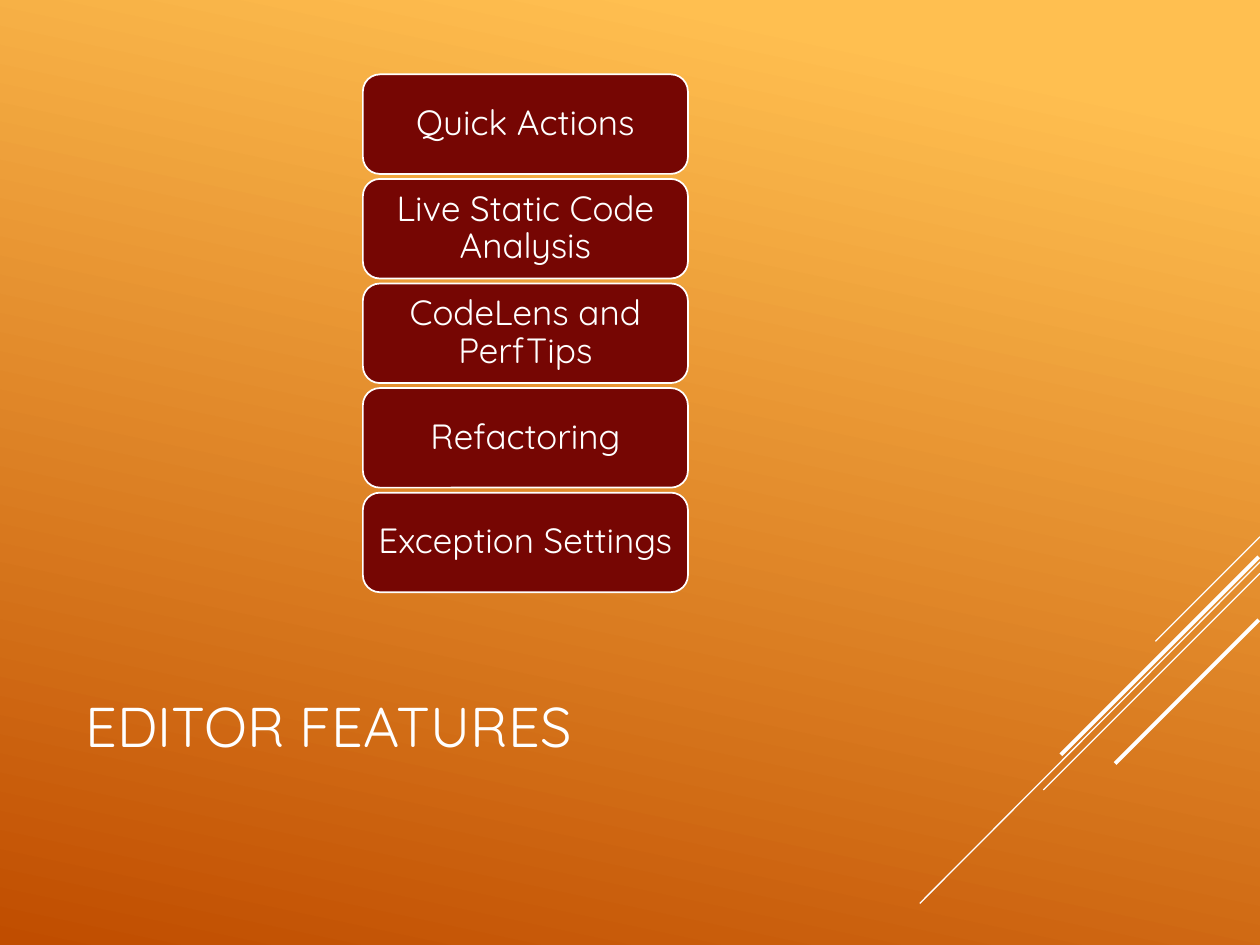
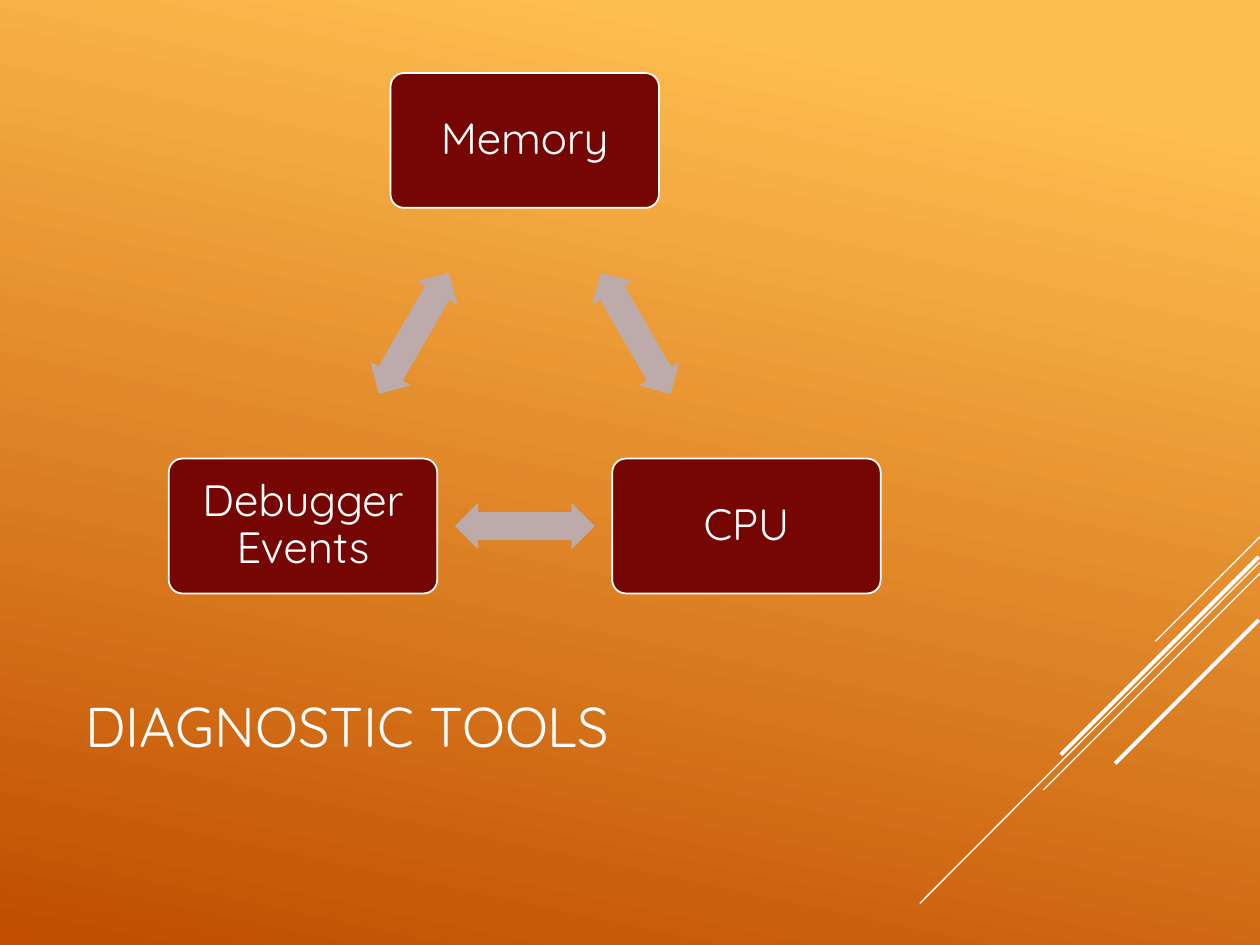
import math
from pptx import Presentation
from pptx.dml.color import RGBColor
from pptx.enum import shapes, text
from pptx.oxml.ns import qn
from pptx.util import Inches, Pt
from lxml import etree

EDITOR_TITLE = "EDITOR FEATURES"
EDITOR_FEATURES = [
    "Quick Actions",
    "Live Static Code Analysis",
    "CodeLens and PerfTips",
    "Refactoring",
    "Exception Settings",
]
DIAGNOSTIC_TITLE = "DIAGNOSTIC TOOLS"
DIAGNOSTIC_TOOLS = [
    ("Memory", (3.1, 0.58)),
    ("CPU", (4.86, 3.64)),
    ("Debugger Events", (1.34, 3.64)),
]
CORNER_STRIPES = [
    ((10, 4.26), (9.17, 5.09), 0.75),
    ((10, 4.46), (7.3, 7.17), 0.75),
    ((10, 4.55), (8.28, 6.27), 0.75),
    ((9.99, 4.42), (8.42, 5.99), 2.25),
    ((9.99, 4.92), (8.85, 6.06), 2.25),
]

WHITE = RGBColor(0xFF, 0xFF, 0xFF)
MAROON = RGBColor(0x76, 0x06, 0x03)
MAUVE = RGBColor(0xBD, 0xAB, 0xAB)
AMBER = RGBColor(0xFF, 0xBF, 0x50)
RUST = RGBColor(0xC0, 0x4D, 0x00)
BACKDROP = [(0.1, AMBER), (1, RUST)]
BACKDROP_ANGLE = 360 - 102

FONT = "Quicksand"
TITLE_AREA = (0.58, 4.92, 7.17, 1.67)
FEATURE_LEFT, FEATURE_TOP, FEATURE_STEP = 2.88, 0.59, 0.83
FEATURE_SIZE = (2.58, 0.79)
TOOL_SIZE = (2.13, 1.07)
ARROW_SIZE = (1.11, 0.37)
FEATURE_STYLE = {"size": 20, "margins": (0.08, 0.04), "corner": 0.17}
TOOL_STYLE = {"size": 25, "margins": (0.1, 0.1), "corner": 0.1}


def inches(values):
    return [Inches(value) for value in values]


def write(frame, wording, size, align, spacing=1.0, margins=(0.1, 0.05)):
    across, down = inches(margins)
    frame_format = {
        "word_wrap": True,
        "vertical_anchor": text.MSO_ANCHOR.MIDDLE,
        "margin_left": across,
        "margin_right": across,
        "margin_top": down,
        "margin_bottom": down,
    }
    for name, value in frame_format.items():
        setattr(frame, name, value)
    line = frame.paragraphs[0]
    line.alignment = align
    line.line_spacing = spacing
    run = line.add_run()
    run.text = wording
    for name, value in {"name": FONT, "size": Pt(size)}.items():
        setattr(run.font, name, value)
    run.font.color.rgb = WHITE


def add_solid(slide, kind, area, color):
    solid = slide.shapes.add_shape(kind, *inches(area))
    solid.shadow.inherit = False
    solid.fill.solid()
    solid.fill.fore_color.rgb = color
    return solid


def add_card(slide, wording, area, style):
    card = add_solid(slide, shapes.MSO_SHAPE.ROUNDED_RECTANGLE, area, MAROON)
    card.adjustments[0] = style["corner"]
    card.line.color.rgb = WHITE
    card.line.width = Pt(1)
    write(card.text_frame, wording, style["size"], text.PP_ALIGN.CENTER,
          spacing=0.9, margins=style["margins"])


def add_arrow(slide, start, end):
    width, height = ARROW_SIZE
    middle_x, middle_y = ((a + b) / 2 for a, b in zip(start, end))
    area = (middle_x - width / 2, middle_y - height / 2, width, height)
    arrow = add_solid(slide, shapes.MSO_SHAPE.LEFT_RIGHT_ARROW, area, MAUVE)
    arrow.line.fill.background()
    arrow.adjustments[0], arrow.adjustments[1] = 0.6, 0.5
    slope = math.atan2(end[1] - start[1], end[0] - start[0])
    arrow.rotation = round(math.degrees(slope)) % 360


def add_themed_slide(deck, title):
    slide = deck.slides.add_slide(deck.slide_layouts[6])
    backdrop = slide.background.fill
    backdrop.gradient()
    backdrop.gradient_angle = BACKDROP_ANGLE
    for stop, (position, color) in zip(backdrop.gradient_stops, BACKDROP):
        stop.position = position
        stop.color.rgb = color
    for start, end, weight in CORNER_STRIPES:
        stripe = slide.shapes.add_connector(
            shapes.MSO_CONNECTOR.STRAIGHT, *inches(start + end))
        stripe.line.color.rgb = WHITE
        stripe.line.width = Pt(weight)
        etree.SubElement(stripe._element.spPr, qn("a:effectLst"))
    heading = slide.shapes.add_textbox(*inches(TITLE_AREA))
    write(heading.text_frame, title, 32, text.PP_ALIGN.LEFT)
    return slide


def build_editor_features(deck):
    slide = add_themed_slide(deck, EDITOR_TITLE)
    for row, feature in enumerate(EDITOR_FEATURES):
        corner = (FEATURE_LEFT, FEATURE_TOP + row * FEATURE_STEP)
        add_card(slide, feature, corner + FEATURE_SIZE, FEATURE_STYLE)


def build_diagnostic_tools(deck):
    slide = add_themed_slide(deck, DIAGNOSTIC_TITLE)
    width, height = TOOL_SIZE
    centres = [(x + width / 2, y + height / 2) for _, (x, y) in DIAGNOSTIC_TOOLS]
    for index, (tool, corner) in enumerate(DIAGNOSTIC_TOOLS):
        add_card(slide, tool, corner + TOOL_SIZE, TOOL_STYLE)
        add_arrow(slide, centres[index], centres[(index + 1) % len(centres)])


def main():
    deck = Presentation()
    deck.slide_width, deck.slide_height = Inches(10), Inches(7.5)
    build_editor_features(deck)
    build_diagnostic_tools(deck)
    deck.save("out.pptx")


if __name__ == "__main__":
    main()
